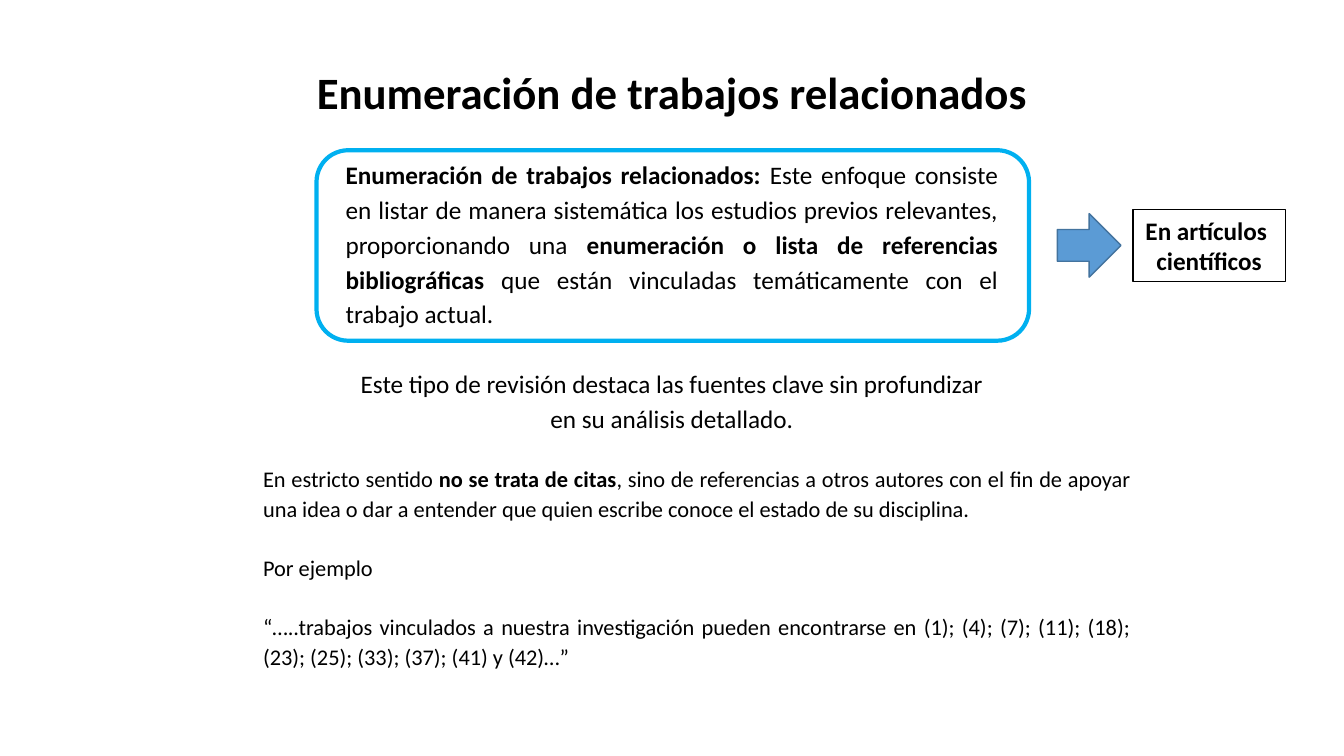
import pptx
import pptx.util
import pptx.dml.color
import pptx.enum.shapes
import pptx.enum.text
import pptx.oxml.ns
import lxml.etree

Pt = pptx.util.Pt
RGB = pptx.dml.color.RGBColor.from_string
ALIGN = pptx.enum.text.PP_ALIGN
SHAPE = pptx.enum.shapes.MSO_SHAPE
COLORS = {"text": "000000", "frame": "00B0F0", "arrow": "5B9BD5", "arrow_line": "43739E"}


def write(tf, size, spacing, paragraphs, wrap=True):
    for name, value in {
        "word_wrap": wrap,
        "auto_size": pptx.enum.text.MSO_AUTO_SIZE.NONE,
    }.items():
        setattr(tf, name, value)
    for i, (align, before, runs) in enumerate(paragraphs):
        p = tf.paragraphs[0] if i == 0 else tf.add_paragraph()
        for name, value in {
            "alignment": align,
            "line_spacing": spacing,
            "space_before": Pt(before),
            "space_after": Pt(0),
        }.items():
            setattr(p, name, value)
        for text, bold in runs:
            r = p.add_run()
            r.text = text
            for name, value in {"name": "Calibri", "size": Pt(size), "bold": bold}.items():
                setattr(r.font, name, value)
            r.font.color.rgb = RGB(COLORS["text"])


def place(sp, left, top, width, height):
    for name, value in {"left": left, "top": top, "width": width, "height": height}.items():
        setattr(sp, name, Pt(value))


prs = pptx.Presentation()
prs.slide_width, prs.slide_height = Pt(960), Pt(540)
s = prs.slides.add_slide(prs.slide_layouts[1])

title = s.shapes.title
place(title, 66.2, 28.8, 828, 78.5)
write(title.text_frame, 32, 0.9, [
    (ALIGN.CENTER, 0, [("Enumeración de trabajos relacionados", True)]),
])

body = s.placeholders[1]
place(body, 180.7, 326.9, 634.3, 176.4)
write(body.text_frame, 16, 1.1, [
    (ALIGN.JUSTIFY, 0, [
        ("En estricto sentido ", False),
        ("no se trata de citas", True),
        (", sino de referencias a otros autores con el fin de apoyar una idea o dar a "
         "entender que quien escribe conoce el estado de su disciplina. ", False),
    ]),
    (ALIGN.JUSTIFY, 21.2, [("Por ejemplo", False)]),
    (ALIGN.JUSTIFY, 21.2, [
        ("“…..trabajos vinculados a nuestra investigación pueden encontrarse en (1); (4); "
         "(7); (11); (18); (23); (25); (33); (37); (41) y (42)…”", False),
    ]),
])
for p in body.text_frame.paragraphs:
    pPr = p._p.get_or_add_pPr()
    pPr.set("marL", "0")
    pPr.set("indent", "0")
    lxml.etree.SubElement(pPr, pptx.oxml.ns.qn("a:buNone"))

definition = s.shapes.add_textbox(Pt(239.8), Pt(107.3), Pt(480.2), Pt(229))
write(definition.text_frame, 18, 1.15, [
    (ALIGN.JUSTIFY, 0, [
        ("Enumeración de trabajos relacionados:", True),
        (" Este enfoque consiste en listar de manera sistemática los estudios previos "
         "relevantes, proporcionando una ", False),
        ("enumeración o lista de referencias bibliográficas", True),
        (" que están vinculadas temáticamente con el trabajo actual. ", False),
    ]),
    (ALIGN.CENTER, 24.7, [
        ("Este tipo de revisión destaca las fuentes clave sin profundizar en su análisis "
         "detallado.", False),
    ]),
])

shapes = {}
for name, kind, box, fill, line, width in [
    ("frame", SHAPE.ROUNDED_RECTANGLE, (226.1, 107.3, 509, 136.1), None, "frame", 3),
    ("label", SHAPE.RECTANGLE, (809.3, 149.8, 108.7, 51.1), None, "text", 0.75),
    ("arrow", SHAPE.RIGHT_ARROW, (755.3, 152.6, 45.4, 45.4), "arrow", "arrow_line", 1),
]:
    sp = s.shapes.add_shape(kind, *map(Pt, box))
    sp.shadow.inherit = False
    if fill:
        sp.fill.solid()
        sp.fill.fore_color.rgb = RGB(COLORS[fill])
    else:
        sp.fill.background()
    sp.line.color.rgb = RGB(COLORS[line])
    sp.line.width = Pt(width)
    shapes[name] = sp

write(shapes["label"].text_frame, 18, 1.0, [
    (ALIGN.CENTER, 0, [("En artículos ", True)]),
    (ALIGN.CENTER, 0, [("científicos", True)]),
], wrap=False)

prs.save("out.pptx")
